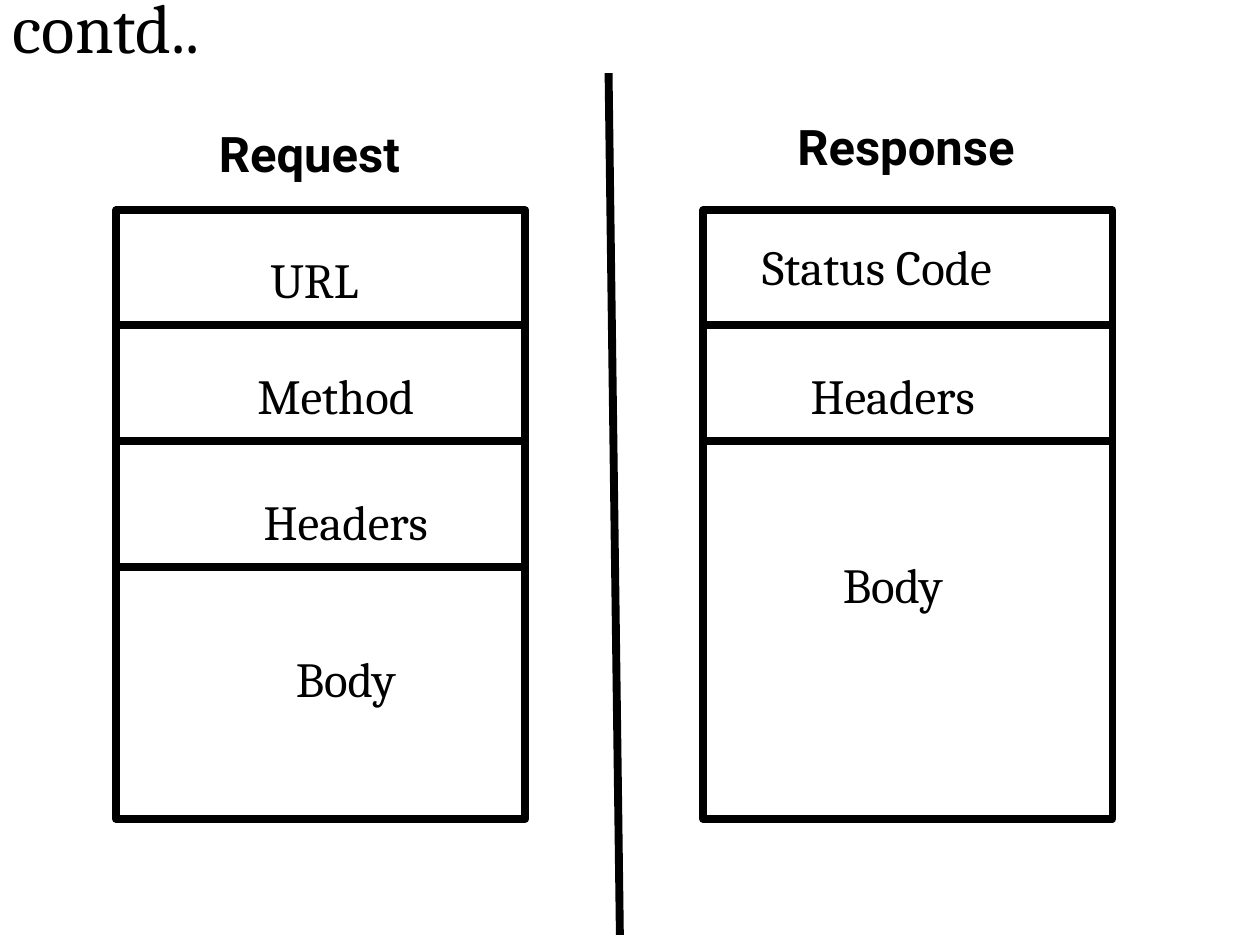
import pptx
import pptx.dml.color
import pptx.enum.shapes
import pptx.enum.text
import pptx.oxml.ns
import pptx.util
from lxml import etree

Inches = pptx.util.Inches
Pt = pptx.util.Pt
Align = pptx.enum.text.PP_ALIGN
Anchor = pptx.enum.text.MSO_ANCHOR
AutoSize = pptx.enum.text.MSO_AUTO_SIZE
BLACK = pptx.dml.color.RGBColor(0x00, 0x00, 0x00)

BOX_TOP, BOX_WIDTH, BOX_HEIGHT = 1.67, 3.25, 4.83
LABEL_HEIGHT = 0.57


class MessageSlide:
    """Black outlines and text on the current slide."""

    line_width = Pt(4.5)
    title_font = {"name": "Cambria", "size": Pt(39.6), "bold": False}
    heading_font = {"name": "Roboto", "size": Pt(28), "bold": True}
    label_font = {"name": "Cambria", "size": Pt(28), "bold": False}

    def __init__(self, slide):
        self.slide = slide

    def fill_text(self, frame, text, font, align, **spacing):
        frame.word_wrap = True
        paragraph = frame.paragraphs[0]
        paragraph.alignment = align
        for name, value in spacing.items():
            setattr(paragraph, name, value)
        run = paragraph.add_run()
        run.text = text
        for name, value in font.items():
            setattr(run.font, name, value)
        run.font.color.rgb = BLACK

    def placeholder(self, idx, text, place, font, align, anchor, before=0):
        holder = self.slide.placeholders[idx]
        for name, value in zip(("left", "top", "width", "height"), place):
            setattr(holder, name, Inches(value))
        frame = holder.text_frame
        frame.auto_size = AutoSize.NONE
        frame.vertical_anchor = anchor
        self.fill_text(frame, text, font, align,
                       line_spacing=0.9, space_before=Pt(before))

    def outline(self, left, top, width, height):
        box = self.slide.shapes.add_shape(
            pptx.enum.shapes.MSO_SHAPE.RECTANGLE,
            Inches(left), Inches(top), Inches(width), Inches(height))
        box.shadow.inherit = False
        box.fill.background()
        box.line.color.rgb = BLACK
        box.line.width = self.line_width

    def line(self, x1, y1, x2, y2):
        rule = self.slide.shapes.add_connector(
            pptx.enum.shapes.MSO_CONNECTOR.STRAIGHT,
            Inches(x1), Inches(y1), Inches(x2), Inches(y2))
        rule.line.color.rgb = BLACK
        rule.line.width = self.line_width
        # An empty effect list switches off the theme shadow
        etree.SubElement(rule._element.spPr, pptx.oxml.ns.qn("a:effectLst"))

    def label(self, text, left, top, width):
        box = self.slide.shapes.add_textbox(
            Inches(left), Inches(top), Inches(width), Inches(LABEL_HEIGHT))
        box.text_frame.auto_size = AutoSize.SHAPE_TO_FIT_TEXT
        self.fill_text(box.text_frame, text, self.label_font, Align.CENTER)

    def message(self, left, dividers, labels):
        self.outline(left, BOX_TOP, BOX_WIDTH, BOX_HEIGHT)
        for y in dividers:
            self.line(left, y, left + BOX_WIDTH, y)
        for label in labels:
            self.label(*label)


def main():
    deck = pptx.Presentation()
    deck.slide_width, deck.slide_height = Inches(10), Inches(7.5)
    comparison = deck.slide_layouts.get_by_name("Comparison")
    page = MessageSlide(deck.slides.add_slide(comparison))

    # Title and column headings
    page.placeholder(0, "contd..", (0, 0, 10, 0.5), page.title_font,
                     Align.LEFT, Anchor.MIDDLE)
    for idx, heading, place in (
        (1, "Request", (1.08, 0.8, 2.75, 0.7)),
        (3, "Response", (5.92, 0.75, 2.54, 0.7)),
    ):
        page.placeholder(idx, heading, place, page.heading_font,
                         Align.CENTER, Anchor.BOTTOM, before=10)

    # The layout's content areas are not used
    for idx in (2, 4):
        unused = page.slide.placeholders[idx]._element
        unused.getparent().remove(unused)

    # Request parts
    page.message(0.92, (2.58, 3.5, 4.5), (
        ("URL", 1.58, 1.93, 1.83),
        ("Method", 1.75, 2.85, 1.83),
        ("Headers", 1.83, 3.85, 1.83),
        ("Body", 1.83, 5.1, 1.83),
    ))

    # Response parts
    page.message(5.58, (2.58, 3.5), (
        ("Status Code", 5.75, 1.83, 2.42),
        ("Headers", 6.17, 2.85, 1.83),
        ("Body", 6.17, 4.35, 1.83),
    ))

    # Divider between the two columns
    page.line(4.83, 0.58, 4.92, 7.42)

    deck.save("out.pptx")


if __name__ == "__main__":
    main()
